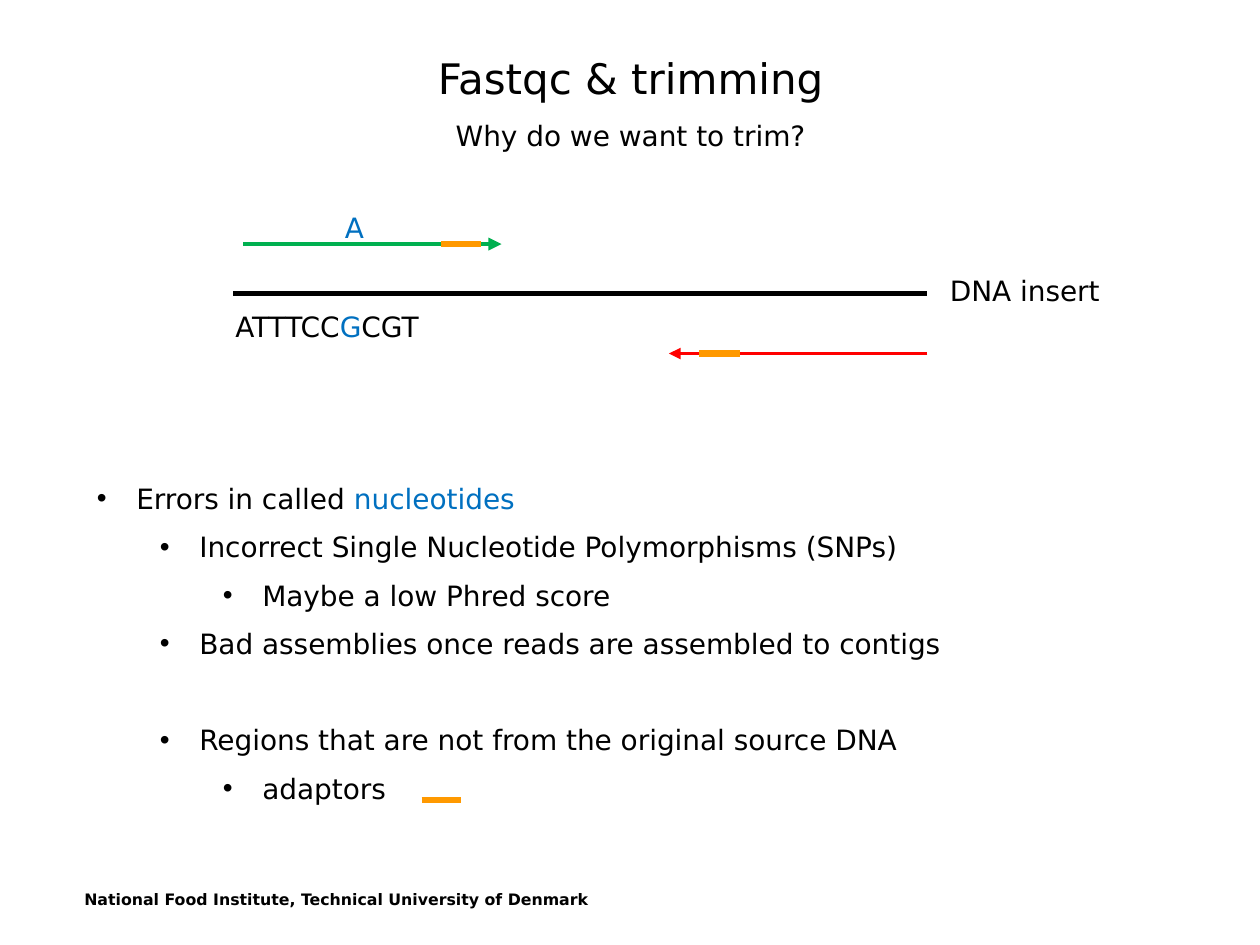
from lxml import etree
from pptx import Presentation
from pptx.dml.color import RGBColor
from pptx.enum.shapes import MSO_CONNECTOR
from pptx.enum.text import MSO_ANCHOR, MSO_AUTO_SIZE, PP_ALIGN
from pptx.oxml.ns import qn
from pptx.util import Pt

FONT = "DejaVu Sans"
BLACK, BLUE, ORANGE = "000000", "0070C0", "FF9900"
RED, GREEN = "FF0000", "00B050"
GAP = 8.5  # space before a paragraph
LINE = 18.7  # height of one 16 pt line


def rgb(color):
    return RGBColor.from_string(color)


def add_runs(p, runs, size=16, bold=False):
    """Append (text, colour) runs to a paragraph."""
    for text, color in runs:
        r = p.add_run()
        r.text = text
        r.font.name = FONT
        r.font.size = Pt(size)
        r.font.bold = bold
        r.font.color.rgb = rgb(color)


prs = Presentation()
prs.slide_width, prs.slide_height = Pt(720), Pt(540)
s = prs.slides.add_slide(prs.slide_layouts[1])
title, body = s.placeholders

# Title and bullet placeholders
for sp, box in ((title, (117.4, 26.6, 486, 65.5)), (body, (48.2, 271.4, 532.8, 259))):
    sp.left, sp.top, sp.width, sp.height = map(Pt, box)
    tf = sp.text_frame
    tf.word_wrap = True
    tf.auto_size = MSO_AUTO_SIZE.NONE
    tf.vertical_anchor = MSO_ANCHOR.TOP

tf = title.text_frame
headings = [("Fastqc & trimming", 24, 0), ("Why do we want to trim?", 16, GAP)]
for i, (text, size, before) in enumerate(headings):
    p = tf.add_paragraph() if i else tf.paragraphs[0]
    p.alignment = PP_ALIGN.CENTER
    p.space_before = Pt(before)
    add_runs(p, [(text, BLACK)], size)

# Level, space before, runs
bullets = [
    (0, 0, [("Errors in called ", BLACK), ("nucleotides", BLUE)]),
    (1, GAP, [("Incorrect Single Nucleotide Polymorphisms (SNPs)", BLACK)]),
    (2, GAP, [("Maybe a low Phred score", BLACK)]),
    (1, GAP, [("Bad assemblies once reads are assembled to contigs", BLACK)]),
    (1, 2 * GAP + LINE, [("Regions that are not from the original source DNA", BLACK)]),
    (2, GAP, [("adaptors", BLACK)]),
]
tf = body.text_frame
for i, (level, before, runs) in enumerate(bullets):
    p = tf.add_paragraph() if i else tf.paragraphs[0]
    p.level = level
    p.space_before = Pt(before)
    pPr = p._p.get_or_add_pPr()
    pPr.set("marL", str(Pt(22.5 + 36 * level)))
    pPr.set("indent", str(-Pt(22.5)))
    etree.SubElement(pPr, qn("a:buChar")).set("char", "•")
    add_runs(p, runs)

# DNA insert, reads and adaptors: x1, x2, y, colour, width, arrowhead
lines = [
    (280.8, 529.9, 167.8, BLACK, 2.5, False),
    (133.2, 280.8, 167.8, BLACK, 2.5, False),
    (529.9, 382.3, 202, RED, 2.25, True),
    (139, 286.6, 139.5, GREEN, 2.5, True),
    (252, 275, 139.5, ORANGE, 3.75, False),
    (399.6, 422.6, 202, ORANGE, 3.75, False),
    (241, 263.6, 457.2, ORANGE, 3.75, False),
]
for x1, x2, y, color, width, arrow in lines:
    line = s.shapes.add_connector(MSO_CONNECTOR.STRAIGHT, Pt(x1), Pt(y), Pt(x2), Pt(y))
    line.line.color.rgb = rgb(color)
    line.line.width = Pt(width)
    if arrow:
        etree.SubElement(line.line._get_or_add_ln(), qn("a:tailEnd")).set("type", "triangle")
    etree.SubElement(line._element.spPr, qn("a:effectLst"))

# Diagram labels: left, top, width, runs
labels = [
    (535.7, 152.6, 108, [("DNA insert", BLACK)]),
    (190, 116.6, 28, [("A", BLUE)]),
    (127.4, 173.5, 130, [("ATTTCC", BLACK), ("G", BLUE), ("CGT", BLACK)]),
]
for left, top, width, runs in labels:
    tf = s.shapes.add_textbox(Pt(left), Pt(top), Pt(width), Pt(26.6)).text_frame
    tf.word_wrap = True
    add_runs(tf.paragraphs[0], runs)

# Footer
tf = s.shapes.add_textbox(Pt(48.2), Pt(508.3), Pt(291), Pt(23.8)).text_frame
tf.word_wrap = True
tf.margin_left = tf.margin_top = tf.margin_right = tf.margin_bottom = 0
add_runs(tf.paragraphs[0], [("National Food Institute, Technical University of Denmark", BLACK)], 9, True)

prs.save("out.pptx")
